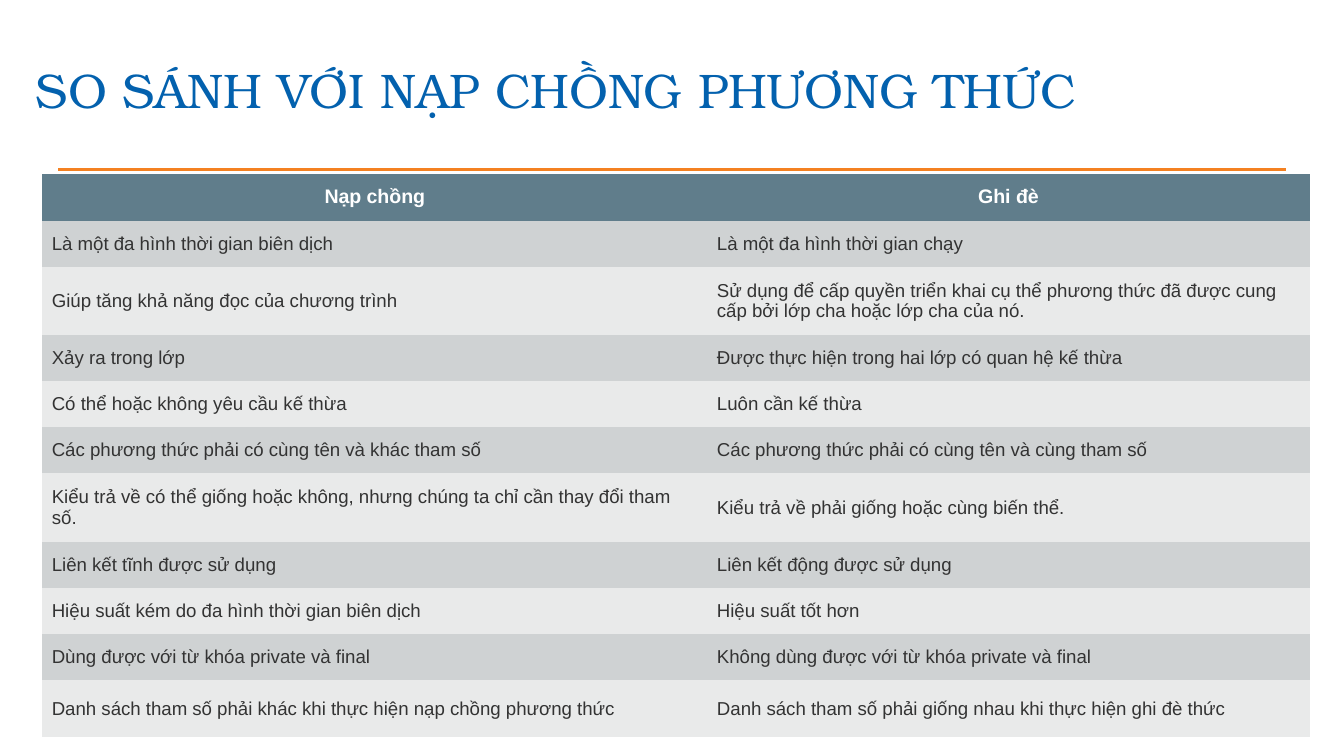
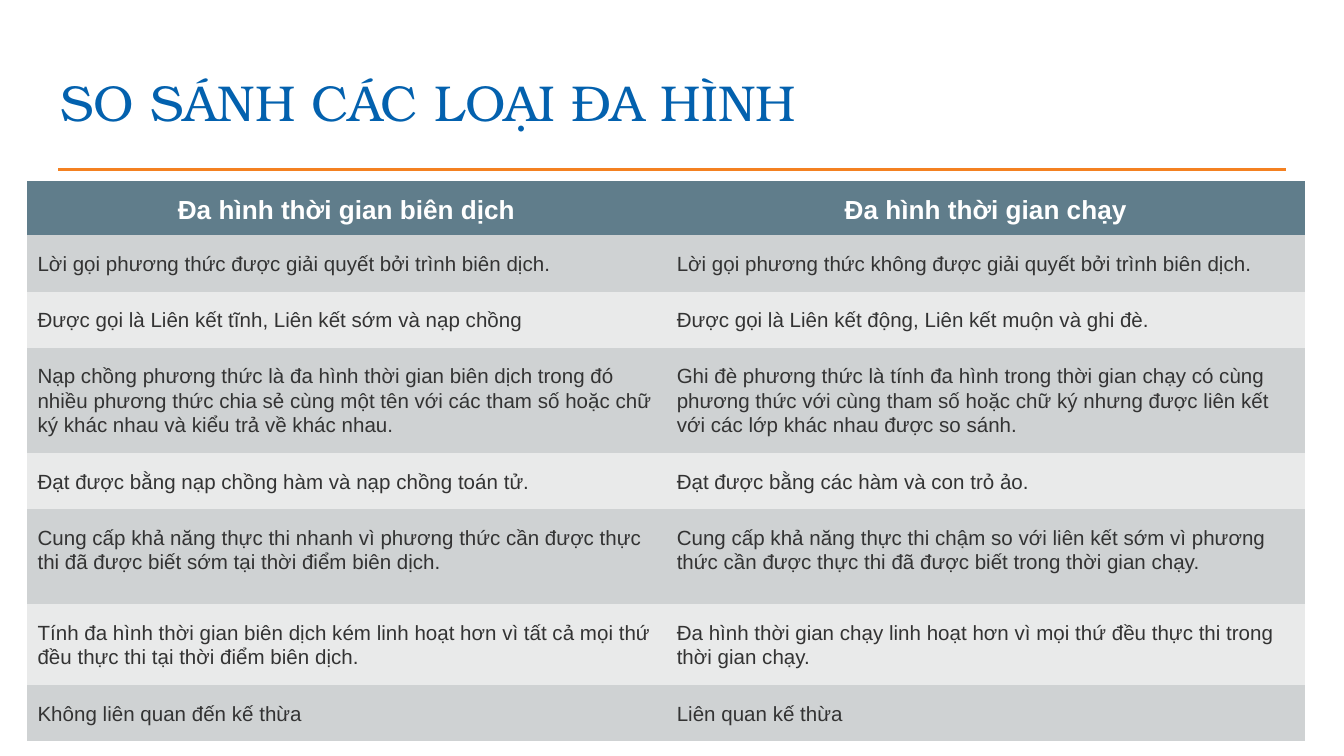
from dataclasses import dataclass

from pptx import Presentation
from pptx.dml.color import RGBColor
from pptx.enum.shapes import MSO_CONNECTOR
from pptx.enum.text import MSO_ANCHOR, MSO_AUTO_SIZE, PP_ALIGN
from pptx.oxml.ns import qn
from pptx.util import Cm, Pt
from lxml.etree import SubElement

COLORS = {
    "title": "0361AE",
    "rule": "F48121",
    "header": "607D8B",
    "header_text": "FFFFFF",
    "odd_row": "CFD2D3",
    "even_row": "E9EAEA",
    "body_text": "333333",
}
TITLE_FONT = "TeX Gyre Bonum"
TABLE_FONT = "Arial"
PLAIN_TABLE_STYLE = "{2D5ABB26-0587-4C30-8999-92F81FD0307C}"

OVERLOAD_VS_OVERRIDE = [
    ("Nạp chồng", "Ghi đè"),
    ("Là một đa hình thời gian biên dịch", "Là một đa hình thời gian chạy"),
    ("Giúp tăng khả năng đọc của chương trình",
     "Sử dụng để cấp quyền triển khai cụ thể phương thức đã được cung cấp bởi "
     "lớp cha hoặc lớp cha của nó."),
    ("Xảy ra trong lớp", "Được thực hiện trong hai lớp có quan hệ kế thừa"),
    ("Có thể hoặc không yêu cầu kế thừa", "Luôn cần kế thừa"),
    ("Các phương thức phải có cùng tên và khác tham số",
     "Các phương thức phải có cùng tên và cùng tham số"),
    ("Kiểu trả về có thể giống hoặc không, nhưng chúng ta chỉ cần thay đổi "
     "tham số.",
     "Kiểu trả về phải giống hoặc cùng biến thể."),
    ("Liên kết tĩnh được sử dụng", "Liên kết động được sử dụng"),
    ("Hiệu suất kém do đa hình thời gian biên dịch", "Hiệu suất tốt hơn"),
    ("Dùng được với từ khóa private và final",
     "Không dùng được với từ khóa private và final"),
    ("Danh sách tham số phải khác khi thực hiện nạp chồng phương thức",
     "Danh sách tham số phải giống nhau khi thực hiện ghi đè thức"),
]

COMPILE_VS_RUNTIME = [
    ("Đa hình thời gian biên dịch", "Đa hình thời gian chạy"),
    ("Lời gọi phương thức được giải quyết bởi trình biên dịch.",
     "Lời gọi phương thức không được giải quyết bởi trình biên dịch."),
    ("Được gọi là Liên kết tĩnh, Liên kết sớm và nạp chồng",
     "Được gọi là Liên kết động, Liên kết muộn và ghi đè."),
    ("Nạp chồng phương thức là đa hình thời gian biên dịch trong đó nhiều "
     "phương thức chia sẻ cùng một tên với các tham số hoặc chữ ký khác nhau "
     "và kiểu trả về khác nhau.",
     "Ghi đè phương thức là tính đa hình trong thời gian chạy có cùng phương "
     "thức với cùng tham số hoặc chữ ký nhưng được liên kết với các lớp khác "
     "nhau được so sánh."),
    ("Đạt được bằng nạp chồng hàm và nạp chồng toán tử.",
     "Đạt được bằng các hàm và con trỏ ảo."),
    ("Cung cấp khả năng thực thi nhanh vì phương thức cần được thực thi đã "
     "được biết sớm tại thời điểm biên dịch.",
     "Cung cấp khả năng thực thi chậm so với liên kết sớm vì phương thức cần "
     "được thực thi đã được biết trong thời gian chạy."),
    ("Tính đa hình thời gian biên dịch kém linh hoạt hơn vì tất cả mọi thứ "
     "đều thực thi tại thời điểm biên dịch.",
     "Đa hình thời gian chạy linh hoạt hơn vì mọi thứ đều thực thi trong "
     "thời gian chạy."),
    ("Không liên quan đến kế thừa", "Liên quan kế thừa"),
]


@dataclass
class CellLook:
    """Text settings of a table's header or body; lengths are in cm."""
    size: float
    anchor: MSO_ANCHOR
    side_margin: float
    end_margin: float
    line_spacing: float = 1.0
    space_after: float = 0


def rgb(name):
    return RGBColor.from_string(COLORS[name])


def add_title(slide, heading, box, size):
    title = slide.shapes.title
    title.left, title.top, title.width, title.height = map(Cm, box)
    frame = title.text_frame
    frame.text = heading
    frame.auto_size = MSO_AUTO_SIZE.NONE
    frame.word_wrap = True
    frame.vertical_anchor = MSO_ANCHOR.BOTTOM
    frame.margin_left = frame.margin_right = Cm(0.25)
    frame.margin_top = frame.margin_bottom = Cm(0.25)
    paragraph = frame.paragraphs[0]
    paragraph.alignment = PP_ALIGN.LEFT
    paragraph.font.name = TITLE_FONT
    paragraph.font.size = Pt(size)
    paragraph.font.color.rgb = rgb("title")


def add_title_rule(slide):
    rule = slide.shapes.add_connector(
        MSO_CONNECTOR.STRAIGHT, Cm(1.1), Cm(3.2), Cm(24.3), Cm(3.2))
    rule.line.color.rgb = rgb("rule")
    rule.line.width = Pt(1.5)
    SubElement(rule.element.spPr, qn("a:effectLst"))


def fill_cell(cell, text, look, row):
    is_header = row == 0
    cell.text = text
    cell.fill.solid()
    cell.fill.fore_color.rgb = rgb(
        "header" if is_header else "odd_row" if row % 2 else "even_row")
    cell.vertical_anchor = look.anchor
    cell.margin_left = cell.margin_right = Cm(look.side_margin)
    cell.margin_top = cell.margin_bottom = Cm(look.end_margin)
    paragraph = cell.text_frame.paragraphs[0]
    paragraph.alignment = PP_ALIGN.CENTER if is_header else PP_ALIGN.LEFT
    paragraph.line_spacing = look.line_spacing
    paragraph.space_after = Pt(look.space_after)
    paragraph.font.name = TABLE_FONT
    paragraph.font.size = Pt(look.size)
    paragraph.font.bold = is_header
    paragraph.font.color.rgb = rgb("header_text" if is_header else "body_text")


def add_comparison(slide, rows, corner, widths, heights, header, body):
    left, top = corner
    holder = slide.shapes.add_table(
        len(rows), len(widths), Cm(left), Cm(top),
        Cm(sum(widths)), Cm(sum(heights)))
    for style in holder.element.iter(qn("a:tableStyleId")):
        style.text = PLAIN_TABLE_STYLE
    table = holder.table
    for column, width in zip(table.columns, widths):
        column.width = Cm(width)
    for row, (texts, height) in enumerate(zip(rows, heights)):
        table.rows[row].height = Cm(height)
        for col, text in enumerate(texts):
            fill_cell(table.cell(row, col), text, body if row else header, row)


def add_comparison_slide(deck, heading, title_box, title_size, **comparison):
    slide = deck.slides.add_slide(deck.slide_layouts[5])
    add_title_rule(slide)
    add_title(slide, heading, title_box, title_size)
    add_comparison(slide, **comparison)


def main():
    deck = Presentation()
    deck.slide_width, deck.slide_height = Cm(25.4), Cm(14.29)

    one_line, two_lines = 0.87, 1.3
    add_comparison_slide(
        deck, "SO SÁNH VỚI NẠP CHỒNG PHƯƠNG THỨC",
        title_box=(0.43, 0.89, 23.67, 1.6), title_size=26,
        rows=OVERLOAD_VS_OVERRIDE,
        corner=(0.8, 3.28), widths=(12.57, 11.38),
        heights=[0.89, one_line, two_lines, *[one_line] * 3, two_lines,
                 *[one_line] * 3, 1.08],
        header=CellLook(10.5, MSO_ANCHOR.MIDDLE, 0.18, 0.23),
        body=CellLook(10, MSO_ANCHOR.MIDDLE, 0.18, 0.23))

    one_line = 1.05
    add_comparison_slide(
        deck, "SO SÁNH CÁC LOẠI ĐA HÌNH",
        title_box=(0.89, 1.14, 23.67, 1.6), title_size=27,
        rows=COMPILE_VS_RUNTIME,
        corner=(0.51, 3.43), widths=(12.08, 12.08),
        heights=[1.02, one_line, one_line, 1.98, one_line, 1.8, 1.51, one_line],
        header=CellLook(14, MSO_ANCHOR.BOTTOM, 0.2, 0.2, 1.07),
        body=CellLook(11, MSO_ANCHOR.TOP, 0.2, 0.3, 1.07, 8))

    deck.save("out.pptx")


if __name__ == "__main__":
    main()
